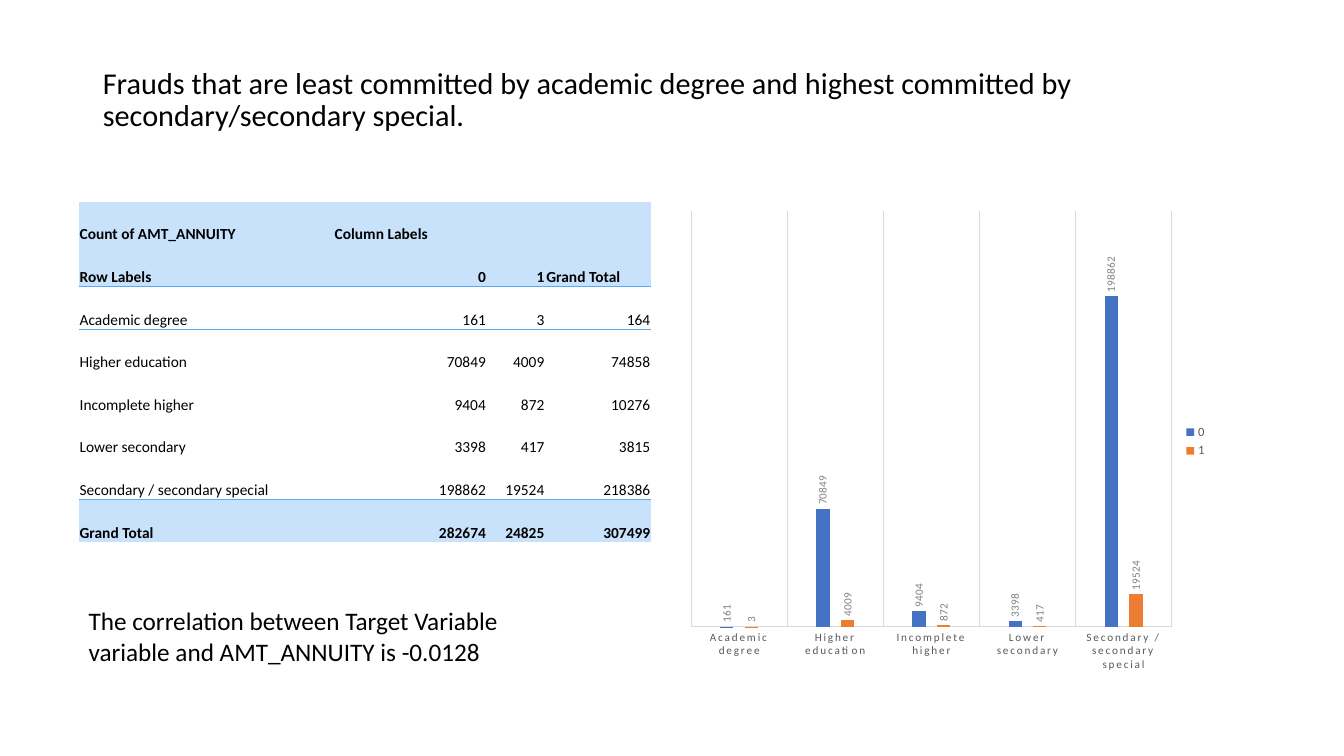
from lxml import etree
from pptx import Presentation
from pptx.chart.data import CategoryChartData
from pptx.dml.color import RGBColor
from pptx.enum.chart import XL_CHART_TYPE, XL_LABEL_POSITION, XL_LEGEND_POSITION, XL_TICK_MARK
from pptx.enum.text import MSO_ANCHOR, MSO_AUTO_SIZE, PP_ALIGN
from pptx.oxml.ns import qn
from pptx.util import Inches, Pt

CLUSTERED = XL_CHART_TYPE.COLUMN_CLUSTERED
OUTSIDE_END = XL_LABEL_POSITION.OUTSIDE_END
LEGEND_RIGHT = XL_LEGEND_POSITION.RIGHT
NO_TICK = XL_TICK_MARK.NONE
MIDDLE, BOTTOM = MSO_ANCHOR.MIDDLE, MSO_ANCHOR.BOTTOM
NO_AUTOFIT = MSO_AUTO_SIZE.NONE
FIT_SHAPE = MSO_AUTO_SIZE.SHAPE_TO_FIT_TEXT
LEFT, RIGHT = PP_ALIGN.LEFT, PP_ALIGN.RIGHT

BLACK = RGBColor(0x00, 0x00, 0x00)
DARK_GREY = RGBColor(0x59, 0x59, 0x59)
MID_GREY = RGBColor(0x80, 0x80, 0x80)
LIGHT_GREY = RGBColor(0xD9, 0xD9, 0xD9)
BAND_BLUE = RGBColor(0xC8, 0xE2, 0xFB)
RULE_BLUE = RGBColor(0x59, 0xAA, 0xF2)
BLUE = RGBColor(0x44, 0x72, 0xC4)
ORANGE = RGBColor(0xED, 0x7D, 0x31)

FONT = "Calibri"
PLAIN_TABLE_STYLE = "{2D5ABB26-0587-4C30-8999-92F81FD0307C}"

EDUCATION_COUNTS = {
    "Academic degree": (161, 3),
    "Higher education": (70849, 4009),
    "Incomplete higher": (9404, 872),
    "Lower secondary": (3398, 417),
    "Secondary / secondary special": (198862, 19524),
}


def format_font(font, size, color=BLACK, bold=False):
    font.name = FONT
    font.size = Pt(size)
    font.bold = bold
    font.color.rgb = color


def write_text(frame, text, size=18, bold=False, align=LEFT, line_spacing=None):
    para = frame.paragraphs[0]
    para.alignment = align
    if line_spacing:
        para.line_spacing = line_spacing
    span = para.add_run()
    span.text = text
    format_font(span.font, size, bold=bold)


def add_title(page, text):
    title = page.shapes.title
    title.left, title.top = Inches(0.92), Inches(0.68)
    title.width, title.height = Inches(11.5), Inches(0.64)
    frame = title.text_frame
    frame.word_wrap = True
    frame.auto_size = NO_AUTOFIT
    frame.vertical_anchor = MIDDLE
    write_text(frame, text, size=21.6, line_spacing=0.9)


def add_note(page, text):
    box = page.shapes.add_textbox(Inches(0.78), Inches(5.96), Inches(5.08), Inches(0.71))
    box.text_frame.word_wrap = True
    box.text_frame.auto_size = FIT_SHAPE
    write_text(box.text_frame, text)


def set_cell_border(cell, side):
    properties = cell._tc.get_or_add_tcPr()
    line = etree.Element(qn(f"a:{side}"), w=str(Pt(0.5)))
    fill = etree.SubElement(line, qn("a:solidFill"))
    etree.SubElement(fill, qn("a:srgbClr"), val=str(RULE_BLUE))
    properties.insert(0, line)


def pivot_rows():
    rows = [("Count of AMT_ANNUITY", "Column Labels", "", ""),
            ("Row Labels", 0, 1, "Grand Total")]
    rows += [(name, *counts, sum(counts)) for name, counts in EDUCATION_COUNTS.items()]
    totals = [sum(column) for column in zip(*EDUCATION_COUNTS.values())]
    rows.append(("Grand Total", *totals, sum(totals)))
    return rows


def add_pivot_table(page):
    rows = pivot_rows()
    last = len(rows) - 1
    widths = (2.53, 1.52, 0.58, 1.05)
    table = page.shapes.add_table(len(rows), len(widths), Inches(0.78), Inches(2),
                                  Inches(5.67), Inches(3.38)).table
    table.first_row = table.horz_banding = False
    table._tbl.tblPr.find(qn("a:tableStyleId")).text = PLAIN_TABLE_STYLE
    for column, width in zip(table.columns, widths):
        column.width = Inches(width)

    for row_index, values in enumerate(rows):
        banded = row_index in (0, 1, last)
        for column_index, value in enumerate(values):
            cell = table.cell(row_index, column_index)
            cell.margin_left = cell.margin_right = cell.margin_top = Inches(0.01)
            cell.margin_bottom = 0
            cell.vertical_anchor = BOTTOM
            if banded:
                cell.fill.solid()
                cell.fill.fore_color.rgb = BAND_BLUE
            else:
                cell.fill.background()
            if value != "":
                write_text(cell.text_frame, str(value), size=11, bold=banded,
                           align=RIGHT if isinstance(value, int) else LEFT)
            # Rules under the heading rows and above the totals
            if row_index in (1, last - 1):
                set_cell_border(cell, "lnB")
            elif row_index in (2, last):
                set_cell_border(cell, "lnT")


def format_series(series, color):
    series.format.fill.solid()
    series.format.fill.fore_color.rgb = color
    series.invert_if_negative = False
    labels = series.data_labels
    labels.show_value = True
    labels.position = OUTSIDE_END
    format_font(labels.font, 8, MID_GREY)
    # Vertical labels
    body = labels._element.find(qn("c:txPr")).find(qn("a:bodyPr"))
    body.set("rot", "-5400000")
    body.set("vert", "horz")


def format_axes(chart):
    chart.value_axis.visible = False
    chart.value_axis.has_major_gridlines = False
    chart.value_axis.minimum_scale = 0
    chart.value_axis.maximum_scale = 250000
    axis = chart.category_axis
    axis.major_tick_mark = axis.minor_tick_mark = NO_TICK
    axis.has_major_gridlines = True
    for line in (axis.format.line, axis.major_gridlines.format.line):
        line.color.rgb = LIGHT_GREY
        line.width = Pt(0.75)
    format_font(axis.tick_labels.font, 8, DARK_GREY)
    # Widely spaced letters
    for properties in axis._element.find(qn("c:txPr")).iter(qn("a:defRPr")):
        properties.set("spc", "120")


def add_education_chart(page):
    data = CategoryChartData()
    data.categories = list(EDUCATION_COUNTS)
    for name, values in zip("01", zip(*EDUCATION_COUNTS.values())):
        data.add_series(name, values)
    chart = page.shapes.add_chart(CLUSTERED, Inches(6.75), Inches(2),
                                  Inches(5.32), Inches(4.76), data).chart
    format_font(chart.font, 10)
    chart.has_title = False
    chart.has_legend = True
    chart.legend.position = LEGEND_RIGHT
    chart.legend.include_in_layout = False
    format_font(chart.legend.font, 9, DARK_GREY)
    plot = chart.plots[0]
    plot.gap_width = 444
    plot.overlap = -90
    plot.vary_by_categories = False
    for series, color in zip(plot.series, (BLUE, ORANGE)):
        format_series(series, color)
    format_axes(chart)


def main():
    deck = Presentation()
    deck.slide_width, deck.slide_height = Inches(13.33), Inches(7.5)
    page = deck.slides.add_slide(deck.slide_layouts[5])
    add_title(page, "Frauds that are least committed by academic degree and highest "
                    "committed by secondary/secondary special.")
    add_pivot_table(page)
    add_education_chart(page)
    add_note(page, "The correlation between Target Variable variable and "
                   "AMT_ANNUITY is -0.0128")
    deck.save("out.pptx")


if __name__ == "__main__":
    main()
